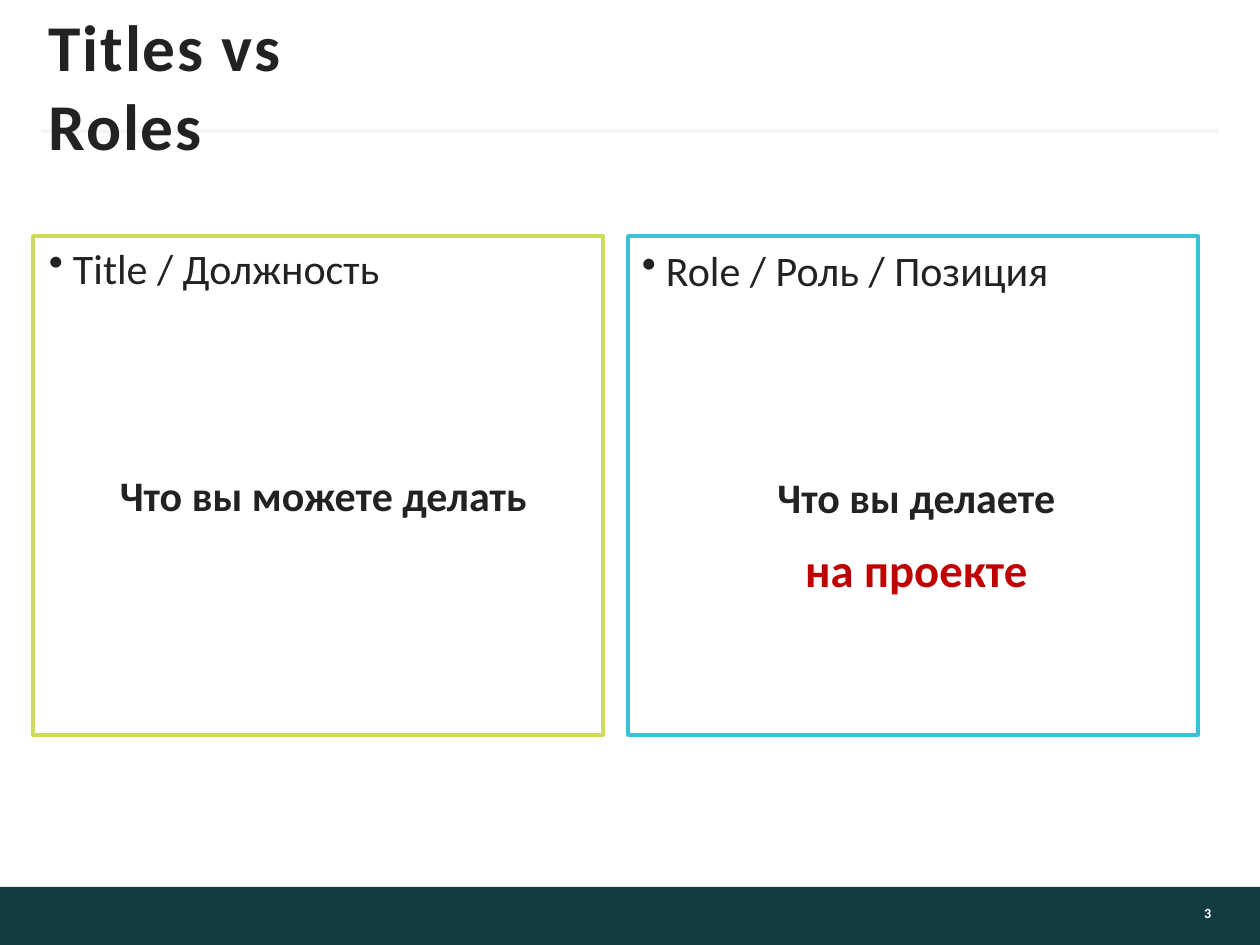
"""Build the slide that sets job titles beside project roles."""
from dataclasses import dataclass, field
from typing import Any

from lxml import etree
from pptx import Presentation
from pptx import util as u
from pptx.dml.color import RGBColor
from pptx.enum import shapes, text
from pptx.oxml import ns

SCALE = 914400 / 168
MID, TOP = text.MSO_ANCHOR.MIDDLE, text.MSO_ANCHOR.TOP
LEFT, MAIN, RIGHT = text.PP_ALIGN.LEFT, text.PP_ALIGN.CENTER, text.PP_ALIGN.RIGHT


@dataclass(frozen=True)
class Theme:
    """Colours, type sizes and line width of the slide."""
    face: str = "Calibri"
    ink: str = "222222"
    red: str = "C00000"
    pale: str = "FEFEFE"
    bar: str = "133C41"
    rule: str = "F5F5F5"
    lime: str = "CEDB56"
    aqua: str = "39C2D7"
    head: float = 28
    body: float = 18
    loud: float = 20
    tiny: float = 6
    line: float = 1.5


T = Theme()


@dataclass(frozen=True)
class Box:
    """A rectangle in pixels."""
    x: int
    y: int
    w: int
    h: int

    def emu(self) -> list[int]:
        """Return the four lengths in EMU."""
        return [px(v) for v in (self.x, self.y, self.w, self.h)]


@dataclass(frozen=True)
class Para:
    """One paragraph, with the blank lines left above it."""
    words: str
    size: float = T.body
    ink: str = T.ink
    bold: bool = True
    align: Any = MAIN
    skip: int = 0
    dot: bool = False
    track: int = 0
    form: dict[str, Any] = field(default_factory=dict)


@dataclass(frozen=True)
class Panel:
    """A framed column and its text."""
    frame: Box
    body: Box
    tint: str
    paras: list[Para]


def px(n: int) -> int:
    """Turn pixels into EMU."""
    return round(n * SCALE)


def put(obj: Any, vals: dict[str, Any]) -> None:
    """Set each value on the object."""
    for name, val in vals.items():
        setattr(obj, name, val)


def rect(slide: Any, box: Box, fill: str = "", edge: str = "") -> None:
    """Draw a filled or outlined rectangle."""
    shape = slide.shapes.add_shape(shapes.MSO_SHAPE.RECTANGLE, *box.emu())
    shape.shadow.inherit = False
    for paint, tint in ((shape.fill, fill), (shape.line.fill, edge)):
        if tint:
            paint.solid()
            paint.fore_color.rgb = RGBColor.from_string(tint)
        else:
            paint.background()
    if edge:
        shape.line.width = u.Pt(T.line)


def rule(slide: Any, x: int, y: int, end: int) -> None:
    """Draw the level line under the heading."""
    line = slide.shapes.add_connector(
        shapes.MSO_CONNECTOR.STRAIGHT, px(x), px(y), px(end), px(y))
    line.line.width = u.Pt(T.line)
    line.line.color.rgb = RGBColor.from_string(T.rule)
    etree.SubElement(line._element.spPr, ns.qn("a:effectLst"))


def write(slide: Any, box: Box, paras: list[Para], anchor: Any = TOP,
          foot: int = 0) -> None:
    """Place paragraphs in a text box."""
    frame = slide.shapes.add_textbox(*box.emu()).text_frame
    put(frame, {"word_wrap": True, "vertical_anchor": anchor,
                "margin_left": 0, "margin_right": 0,
                "margin_top": 0, "margin_bottom": px(foot)})
    for i, item in enumerate(paras):
        para = frame.add_paragraph() if i else frame.paragraphs[0]
        put(para, {"alignment": item.align, **item.form})
        run = para.add_run()
        run.text = item.words
        put(run.font, {"name": T.face, "size": u.Pt(item.size), "bold": item.bold})
        run.font.color.rgb = RGBColor.from_string(item.ink)
        if item.track:
            run._r.get_or_add_rPr().set("spc", str(item.track))
        if item.dot:
            props = para._p.get_or_add_pPr()
            props.set("marL", str(px(24)))
            props.set("indent", str(-px(24)))
            etree.SubElement(props, ns.qn("a:buChar"), char="\u2022")


def line(words: str, skip: int = 0, **more: Any) -> Para:
    """Make a panel paragraph on a fixed line grid."""
    step, above, below = 12, 2, 2.2
    gap = above + skip * (step + above + below)
    form = {"line_spacing": u.Pt(step), "space_before": u.Pt(gap),
            "space_after": u.Pt(below)}
    return Para(words, form=form, **more)


def topic(words: str) -> Para:
    """Make the bulleted first line of a panel."""
    return line(words, bold=False, align=LEFT, dot=True)


PANELS = [
    Panel(Box(33, 236, 570, 499), Box(49, 265, 549, 470), T.lime,
          [topic("Title / Должность"),
           line("Что\u00a0вы\u00a0можете\u00a0делать", 5)]),
    Panel(Box(628, 236, 570, 499), Box(642, 267, 549, 468), T.aqua,
          [topic("Role / Роль\u00a0/\u00a0Позиция"),
           line("Что\u00a0вы\u00a0делаете", 5),
           line("на проекте", 1, size=T.loud, ink=T.red)]),
]


def main() -> None:
    """Build and save the deck."""
    deck = Presentation()
    put(deck, {"slide_width": px(1260), "slide_height": px(945)})
    slide = deck.slides.add_slide(deck.slide_layouts[6])
    rect(slide, Box(0, 887, 1260, 58), fill=T.bar)
    rule(slide, 41, 131, 1219)
    write(slide, Box(49, 5, 297, 160),
          [Para("Titles vs Roles", T.head, align=LEFT, track=80)], MID)
    write(slide, Box(1021, 887, 190, 58),
          [Para("3", T.tiny, T.pale, align=RIGHT)], MID, 6)
    for panel in PANELS:
        write(slide, panel.body, panel.paras)
        rect(slide, panel.frame, edge=panel.tint)
    deck.save("out.pptx")


main()
